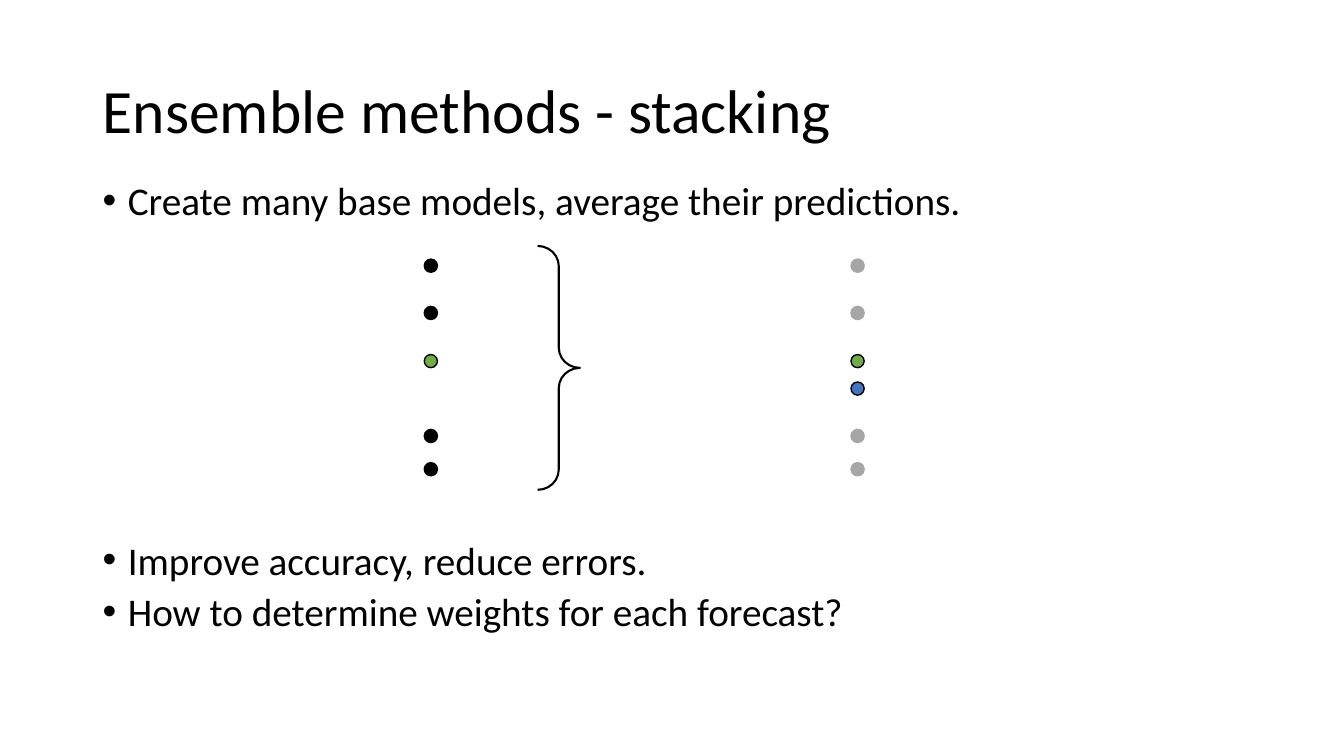
from lxml.etree import SubElement
from pptx import Presentation
from pptx.dml.color import RGBColor
from pptx.enum.shapes import MSO_SHAPE
from pptx.enum.text import MSO_ANCHOR, MSO_AUTO_SIZE, PP_ALIGN
from pptx.oxml.ns import qn
from pptx.util import Inches, Pt

BLACK = RGBColor(0x00, 0x00, 0x00)
WHITE = RGBColor(0xFF, 0xFF, 0xFF)
GREEN = RGBColor(0x70, 0xAD, 0x47)
BLUE = RGBColor(0x44, 0x72, 0xC4)

# Places and sizes are percentages of the slide's width and height.
MARGIN, CONTENT_WIDTH = 6.9, 86.25
DOT_DIAMETER = 0.98  # of the width
MODELS_X, WEIGHTED_X = 32.06, 63.81
FORECASTS = [(35.15, BLACK), (41.4, BLACK), (47.77, GREEN),
             (57.67, BLACK), (62.07, BLACK)]
AVERAGE = (51.4, BLUE)
FADED_AREAS = [(61.2, 30.53), (59.55, 54.4)]
BULLETS = [("Create many base models, average their predictions.", 0),
           ("Improve accuracy, reduce errors.", 230),
           ("How to determine weights for each forecast?", 10)]


class SlideBuilder:
    font_name = "Calibri"

    def __init__(self, presentation):
        self.width = presentation.slide_width
        self.height = presentation.slide_height
        self.slide = presentation.slides.add_slide(presentation.slide_layouts[5])

    def box(self, left, top, width, height):
        """Turn percentages of the slide into lengths."""
        return (int(self.width * left / 100), int(self.height * top / 100),
                int(self.width * width / 100), int(self.height * height / 100))

    def style(self, paragraph, size, spacing):
        paragraph.alignment = PP_ALIGN.LEFT
        paragraph.line_spacing = spacing
        for run in paragraph.runs:
            run.font.name = self.font_name
            run.font.size = Pt(size)
            run.font.color.rgb = BLACK

    def title(self, text, *place):
        heading = self.slide.shapes.title
        heading.left, heading.top, heading.width, heading.height = self.box(*place)
        frame = heading.text_frame
        frame.text = text
        frame.word_wrap = True
        frame.auto_size = MSO_AUTO_SIZE.NONE
        frame.vertical_anchor = MSO_ANCHOR.MIDDLE
        self.style(frame.paragraphs[0], 44, 0.9)

    def bullets(self, items, *place):
        """Write (text, points of space before) pairs as a bulleted list."""
        frame = self.slide.shapes.add_textbox(*self.box(*place)).text_frame
        frame.word_wrap = True
        frame.text = "\n".join(text for text, _ in items)
        for paragraph, (_, gap) in zip(frame.paragraphs, items):
            properties = paragraph._p.get_or_add_pPr()
            properties.set("marL", str(Inches(0.25)))
            properties.set("indent", str(-Inches(0.25)))
            SubElement(properties, qn("a:buFont"), typeface="Arial")
            SubElement(properties, qn("a:buChar"), char="•")
            paragraph.space_before = Pt(gap)
            self.style(paragraph, 28, 0.8)

    def shape(self, kind, place, line_color, line_width, fill=None):
        shape = self.slide.shapes.add_shape(kind, *place)
        shape.shadow.inherit = False
        if fill is None:
            shape.fill.background()
        else:
            shape.fill.solid()
            shape.fill.fore_color.rgb = fill
        shape.line.color.rgb = line_color
        shape.line.width = Pt(line_width)
        return shape

    def dot(self, center_x, center_y, color):
        diameter = int(self.width * DOT_DIAMETER / 100)
        x, y, _, _ = self.box(center_x, center_y, 0, 0)
        place = (x - diameter // 2, y - diameter // 2, diameter, diameter)
        self.shape(MSO_SHAPE.OVAL, place, BLACK, 1, color)

    def brace(self, *place):
        brace = self.shape(MSO_SHAPE.RIGHT_BRACE, self.box(*place), BLACK, 1.5)
        brace.adjustments[0] = 0.48
        brace.adjustments[1] = 0.5

    def veil(self, *place):
        """Fade what lies behind with translucent white."""
        veil = self.shape(MSO_SHAPE.RECTANGLE, self.box(*place), WHITE, 1, WHITE)
        fill_color = veil._element.spPr.find(qn("a:solidFill"))[0]
        SubElement(fill_color, qn("a:alpha"), val="65000")


def main():
    presentation = Presentation()
    presentation.slide_width = Inches(13.33)
    presentation.slide_height = Inches(7.5)
    builder = SlideBuilder(presentation)

    builder.title("Ensemble methods - stacking", MARGIN, 5.33, CONTENT_WIDTH, 19.33)
    builder.bullets(BULLETS, MARGIN, 23.87, CONTENT_WIDTH, 63.47)
    for y, color in FORECASTS:
        builder.dot(MODELS_X, y, color)
    builder.brace(40, 32.53, 3.15, 32.27)
    for y, color in FORECASTS + [AVERAGE]:
        builder.dot(WEIGHTED_X, y, color)
    for left, top in FADED_AREAS:
        builder.veil(left, top, 12.53, 14)

    presentation.save("out.pptx")


if __name__ == "__main__":
    main()
